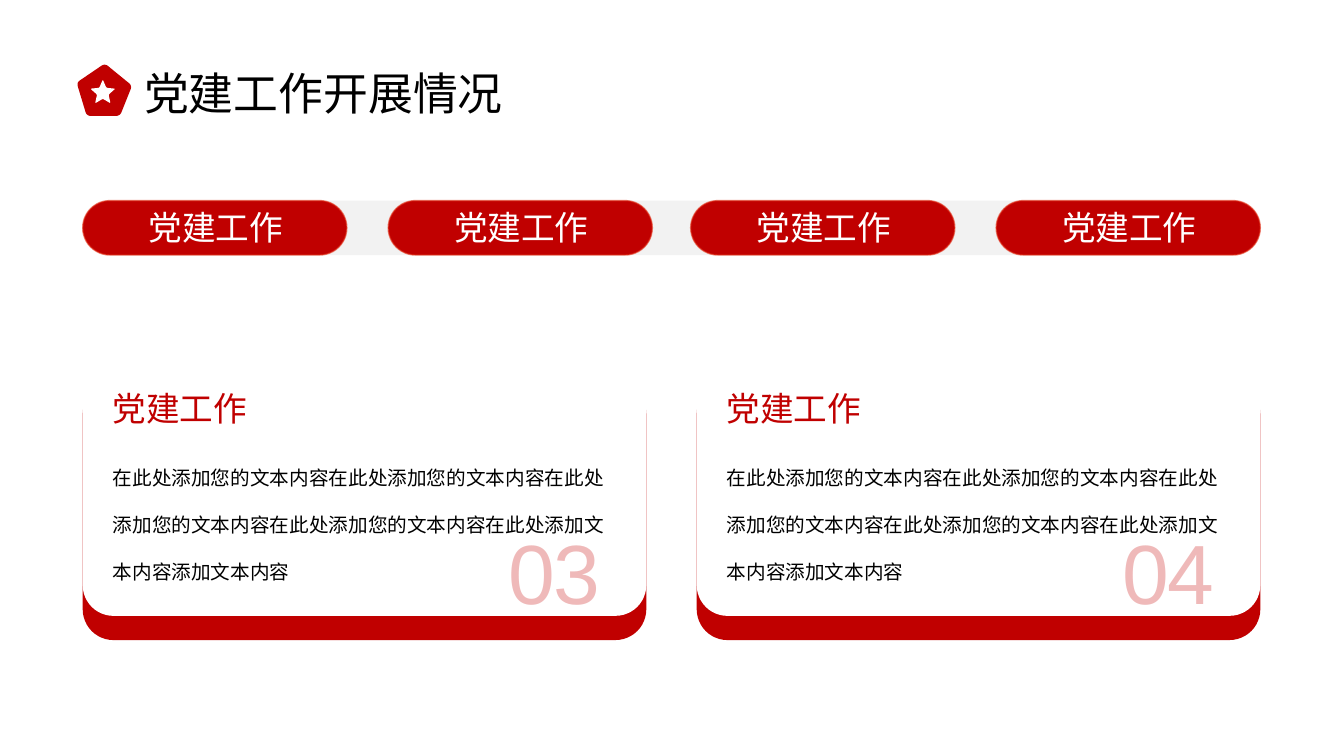
import math
from dataclasses import dataclass

from lxml import etree
from pptx import Presentation
from pptx import util as u
from pptx.dml import color
from pptx.enum import lang, shapes, text
from pptx.oxml import ns

PX = u.Inches(1) // 100  # 100 px to the inch


@dataclass(frozen=True)
class Theme:
    font: str = "Arial"
    red: str = "C00000"
    number_red: str = "C70505"
    pill_line: str = "E3351C"
    track: str = "F2F2F2"
    white: str = "FFFFFF"
    black: str = "000000"
    title_size: int = 32
    heading_size: int = 24
    body_size: int = 14
    number_size: int = 60
    pill_line_alpha: int = 60
    number_alpha: int = 27


@dataclass(frozen=True)
class Box:
    x: int
    y: int
    w: int
    h: int

    def emu(self) -> tuple[int, ...]:
        return tuple(u.Emu(side * PX) for side in (self.x, self.y, self.w, self.h))


@dataclass(frozen=True)
class Style:
    size: int
    color: str
    align: text.PP_ALIGN
    line_spacing: float = 1.0


@dataclass(frozen=True)
class Card:
    x: int
    heading: str
    body: str
    number: str


THEME = Theme()
ALIGN = text.PP_ALIGN
TITLE = Style(THEME.title_size, THEME.black, ALIGN.JUSTIFY)
HEADING = Style(THEME.heading_size, THEME.red, ALIGN.JUSTIFY)
BODY = Style(THEME.body_size, THEME.black, ALIGN.LEFT, 2.0)
NUMBER = Style(THEME.number_size, THEME.number_red, ALIGN.CENTER)
PILL_LABEL = Style(THEME.heading_size, THEME.white, ALIGN.CENTER)

TOPIC = "党建工作"
BODY_TEXT = "在此处添加您的文本内容" * 4 + "在此处添加文本内容添加文本内容"
PILL_LEFTS = (82, 385, 685, 988)
CARDS = (
    Card(82, TOPIC, BODY_TEXT, "03"),
    Card(691, TOPIC, BODY_TEXT, "04"),
)
PENTAGON = [(104, 63), (131, 85), (119, 115), (86, 115), (76, 82)]


def set_alpha(fill, percent: int) -> None:
    """Make a solid fill partly transparent."""
    solid = fill._xPr.find(ns.qn("a:solidFill"))
    etree.SubElement(solid[0], ns.qn("a:alpha")).set("val", str(percent * 1000))


def paint(shape, fill_color: str) -> None:
    shape.shadow.inherit = False
    shape.fill.solid()
    shape.fill.fore_color.rgb = color.RGBColor.from_string(fill_color)
    shape.line.fill.background()


def write(shape, words: str, style: Style):
    """Fill a text shape with one styled run and return the run."""
    frame = shape.text_frame
    frame.word_wrap = True
    frame.auto_size = text.MSO_AUTO_SIZE.SHAPE_TO_FIT_TEXT
    frame.vertical_anchor = text.MSO_ANCHOR.TOP
    paragraph = frame.paragraphs[0]
    paragraph.alignment = style.align
    paragraph.line_spacing = style.line_spacing
    run = paragraph.add_run()
    run.text = words
    font = run.font
    font.name = THEME.font
    font.size = u.Pt(style.size)
    font.color.rgb = color.RGBColor.from_string(style.color)
    font.language_id = lang.MSO_LANGUAGE_ID.SIMPLIFIED_CHINESE
    east_asian = etree.SubElement(run._r.get_or_add_rPr(), ns.qn("a:ea"))
    east_asian.set("typeface", THEME.font)
    return run


def add_text(slide, box: Box, words: str, style: Style):
    return write(slide.shapes.add_textbox(*box.emu()), words, style)


def add_round_rect(slide, box: Box, fill_color: str, rounding: float):
    shape = slide.shapes.add_shape(shapes.MSO_SHAPE.ROUNDED_RECTANGLE, *box.emu())
    shape.adjustments[0] = rounding
    paint(shape, fill_color)
    return shape


def add_rounded_polygon(slide, corners: list, cut: float, fill_color: str) -> None:
    """Draw a polygon whose corners are curved from `cut` px before to `cut` px after."""
    outline = []
    for i, (x, y) in enumerate(corners):
        ends = []
        for nx, ny in (corners[i - 1], corners[(i + 1) % len(corners)]):
            share = cut / math.dist((x, y), (nx, ny))
            ends.append((x + (nx - x) * share, y + (ny - y) * share))
        (ax, ay), (bx, by) = ends
        for step in range(7):
            t = step / 6
            p, q, r = (1 - t) ** 2, 2 * t * (1 - t), t ** 2
            outline.append((round((p * ax + q * x + r * bx) * PX),
                            round((p * ay + q * y + r * by) * PX)))
    builder = slide.shapes.build_freeform(*outline[0], scale=1.0)
    builder.add_line_segments(outline[1:], close=True)
    paint(builder.convert_to_shape(), fill_color)


def star_corners(cx: int, cy: int, outer: int, inner: int) -> list:
    corners = []
    for i in range(10):
        radius = inner if i % 2 else outer
        angle = math.radians(36 * i - 90)
        corners.append((cx + radius * math.cos(angle), cy + radius * math.sin(angle)))
    return corners


def add_card(slide, card: Card) -> None:
    for top, fill_color in ((380, THEME.red), (356, THEME.white)):
        add_round_rect(slide, Box(card.x, top, 559, 255), fill_color, 0.12)
    add_text(slide, Box(card.x + 20, 380, 195, 50), card.heading, HEADING)
    add_text(slide, Box(card.x + 20, 434, 521, 151), card.body, BODY)
    number = add_text(slide, Box(card.x + 365, 511, 206, 111), card.number, NUMBER)
    set_alpha(number.font.fill, THEME.number_alpha)
    number._r.get_or_add_rPr().set("spc", "-100")


def add_pill(slide, left: int) -> None:
    pill = add_round_rect(slide, Box(left, 199, 262, 54), THEME.red, 0.5)
    pill.line.color.rgb = color.RGBColor.from_string(THEME.pill_line)
    pill.line.width = u.Pt(1)
    set_alpha(pill.line.fill, THEME.pill_line_alpha)
    add_text(slide, Box(left + 8, 200, 248, 50), TOPIC, PILL_LABEL)


def main() -> None:
    deck = Presentation()
    deck.slide_width, deck.slide_height = u.Inches(13.33), u.Inches(7.5)
    slide = deck.slides.add_slide(deck.slide_layouts[5])

    title = slide.shapes.title
    title.left, title.top, title.width, title.height = Box(133, 60, 386, 64).emu()
    write(title, "党建工作开展情况", TITLE)
    add_rounded_polygon(slide, PENTAGON, 4, THEME.red)
    add_rounded_polygon(slide, star_corners(102, 92, 13, 6), 1.5, THEME.white)

    for card in CARDS:
        add_card(slide, card)
    add_round_rect(slide, Box(98, 199, 1120, 54), THEME.track, 0.5)
    for left in PILL_LEFTS:
        add_pill(slide, left)
    deck.save("out.pptx")


if __name__ == "__main__":
    main()
